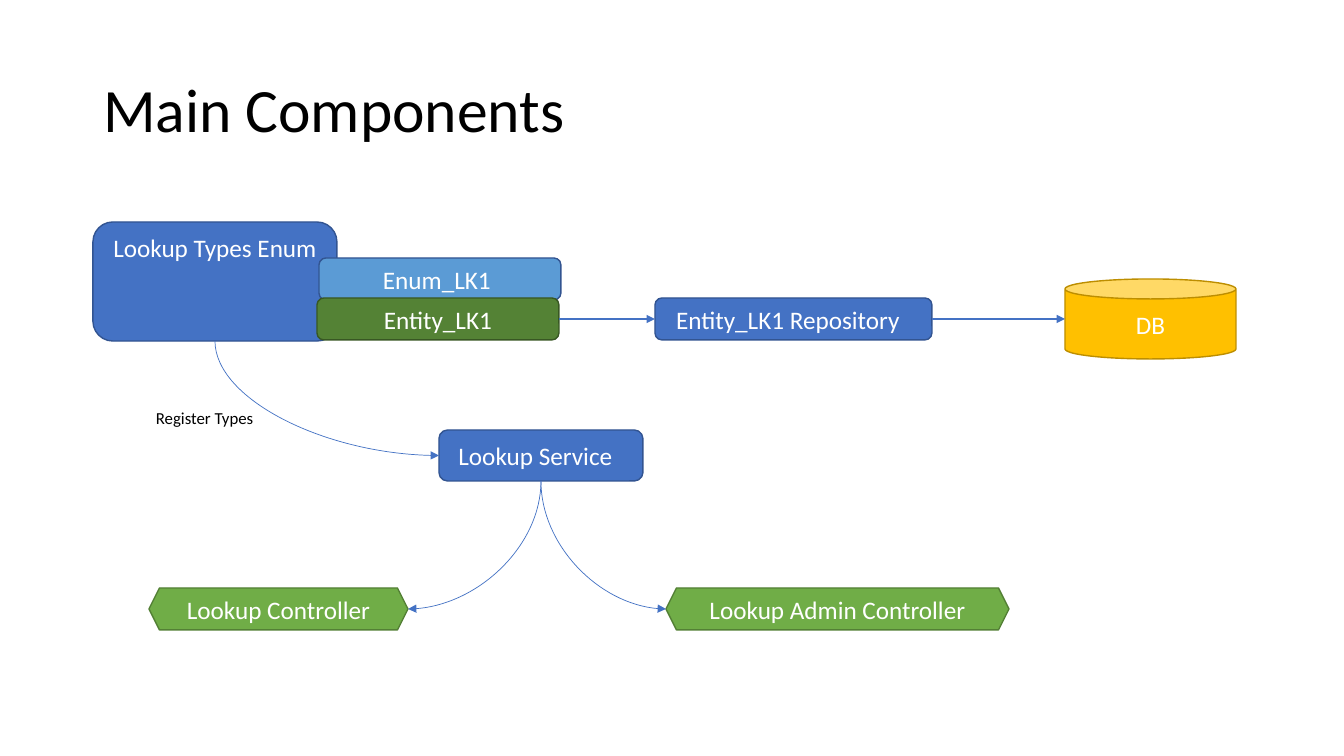
from typing import NamedTuple

import pptx
import pptx.dml.color
import pptx.enum.shapes
import pptx.enum.text
import pptx.oxml
import pptx.oxml.ns
import pptx.util

RGB = pptx.dml.color.RGBColor
SHAPE = pptx.enum.shapes.MSO_SHAPE
CONNECTOR = pptx.enum.shapes.MSO_CONNECTOR
ALIGN = pptx.enum.text.PP_ALIGN
ANCHOR = pptx.enum.text.MSO_ANCHOR
AUTO_SIZE = pptx.enum.text.MSO_AUTO_SIZE

BLACK = RGB(0x00, 0x00, 0x00)
WHITE = RGB(0xFF, 0xFF, 0xFF)
BLUE = RGB(0x44, 0x72, 0xC4)
BLUE_EDGE = RGB(0x32, 0x54, 0x91)
LIGHT_BLUE = RGB(0x5B, 0x9B, 0xD5)
DARK_GREEN = RGB(0x54, 0x82, 0x35)
DARK_GREEN_EDGE = RGB(0x38, 0x57, 0x23)
GREEN = RGB(0x70, 0xAD, 0x47)
GREEN_EDGE = RGB(0x53, 0x80, 0x35)
GOLD = RGB(0xFF, 0xC0, 0x00)
GOLD_EDGE = RGB(0xBD, 0x8E, 0x00)

FONT = "Calibri"
EMU_PER_PX = 914400 / 100.8
INSET = 10


class Box(NamedTuple):
    """A component; nudge widens the right inset, in pixels."""
    text: str
    left: int
    top: int
    width: int
    height: int
    fill: RGB
    edge: RGB
    kind: SHAPE = SHAPE.ROUNDED_RECTANGLE
    anchor: ANCHOR = ANCHOR.MIDDLE
    nudge: int = 0


class Link(NamedTuple):
    """An arrow between two components, with their connection sites."""
    start: str
    start_site: int
    end: str
    end_site: int


TOP, LEFT, BOTTOM, RIGHT = range(4)
CAN_LEFT, HEXAGON_RIGHT, HEXAGON_LEFT = 2, 0, 3

BOXES = {
    "types": Box("Lookup Types Enum", 93, 222, 244, 119, BLUE, BLUE_EDGE, anchor=ANCHOR.TOP),
    "enum": Box("Enum_LK1", 319, 258, 242, 42, LIGHT_BLUE, BLUE_EDGE, nudge=6),
    "entity": Box("Entity_LK1", 317, 298, 242, 42, DARK_GREEN, DARK_GREEN_EDGE),
    "repository": Box("Entity_LK1 Repository", 655, 298, 277, 42, BLUE, BLUE_EDGE, nudge=11),
    "db": Box("DB", 1065, 279, 171, 80, GOLD, GOLD_EDGE, SHAPE.CAN),
    "service": Box("Lookup Service", 439, 430, 204, 51, BLUE, BLUE_EDGE, nudge=11),
    "controller": Box("Lookup Controller", 149, 588, 259, 42, GREEN, GREEN_EDGE, SHAPE.HEXAGON),
    "admin": Box("Lookup Admin Controller", 666, 588, 343, 42, GREEN, GREEN_EDGE, SHAPE.HEXAGON),
}
STRAIGHT_LINKS = [
    Link("entity", RIGHT, "repository", LEFT),
    Link("repository", RIGHT, "db", CAN_LEFT),
]
CURVED_LINKS = [
    Link("types", BOTTOM, "service", LEFT),
    Link("service", BOTTOM, "controller", HEXAGON_RIGHT),
    Link("service", BOTTOM, "admin", HEXAGON_LEFT),
]


def px(n: float) -> pptx.util.Emu:
    """Turn pixels into EMU."""
    return pptx.util.Emu(round(n * EMU_PER_PX))


def place(sp, left: float, top: float, width: float, height: float) -> None:
    """Move and size a shape, in pixels."""
    sp.left, sp.top, sp.width, sp.height = px(left), px(top), px(width), px(height)


def add_text(tf, text: str, size: int, color: RGB, align: ALIGN):
    """Write one run into the first paragraph and return the paragraph."""
    p = tf.paragraphs[0]
    p.alignment = align
    r = p.add_run()
    r.text = text
    r.font.name, r.font.size = FONT, pptx.util.Pt(size)
    r.font.color.rgb = color
    return p


def add_box(slide, box: Box):
    """Draw a component with its label."""
    sp = slide.shapes.add_shape(box.kind, 0, 0, 0, 0)
    place(sp, box.left, box.top, box.width, box.height)
    sp.shadow.inherit = False
    sp.fill.solid()
    sp.fill.fore_color.rgb = box.fill
    sp.line.color.rgb = box.edge
    sp.line.width = pptx.util.Pt(1)
    tf = sp.text_frame
    tf.word_wrap = True
    tf.vertical_anchor = box.anchor
    tf.margin_right = px(INSET + box.nudge)
    add_text(tf, box.text, 18, WHITE, ALIGN.CENTER)
    return sp


def add_arrow(slide, shapes: dict, link: Link, kind: CONNECTOR, weight: float):
    """Add a connector with an arrowhead, attached at both ends."""
    c = slide.shapes.add_connector(kind, 0, 0, 0, 0)
    c.line.color.rgb = BLUE
    c.line.width = pptx.util.Pt(weight)
    ns = pptx.oxml.ns.nsdecls("a")
    c.line._get_or_add_ln().append(pptx.oxml.parse_xml(f'<a:tailEnd {ns} type="triangle"/>'))
    c._element.spPr.append(pptx.oxml.parse_xml(f"<a:effectLst {ns}/>"))
    for tag, name, site in (("stCxn", link.start, link.start_site),
                            ("endCxn", link.end, link.end_site)):
        xml = f'<a:{tag} {ns} id="{shapes[name].shape_id}" idx="{site}"/>'
        c._element.nvCxnSpPr.cNvCxnSpPr.append(pptx.oxml.parse_xml(xml))
    return c


def add_straight(slide, shapes: dict, link: Link) -> None:
    """Draw a level arrow from right edge to left edge."""
    a, b = BOXES[link.start], BOXES[link.end]
    c = add_arrow(slide, shapes, link, CONNECTOR.STRAIGHT, 1.5)
    right = a.left + a.width
    place(c, right, a.top + a.height / 2, b.left - right, 0)


def add_curve(slide, shapes: dict, link: Link) -> None:
    """Draw a quarter curve from a bottom edge down to a side."""
    a, b = BOXES[link.start], BOXES[link.end]
    x1, y1 = a.left + a.width / 2, a.top + a.height
    leftward = b.left < x1
    x2, y2 = b.left + (b.width if leftward else 0), b.top + b.height / 2
    c = add_arrow(slide, shapes, link, CONNECTOR.CURVE, 0.5)
    c._element.spPr.find(pptx.oxml.ns.qn("a:prstGeom")).set("prst", "curvedConnector2")
    # The frame is turned a quarter, so its sides swap about the centre.
    width, height = y2 - y1, abs(x2 - x1)
    place(c, (x1 + x2 - width) / 2, (y1 + y2 - height) / 2, width, height)
    xfrm = c._element.spPr.xfrm
    xfrm.set("rot", str((90 if leftward else 270) * 60000))
    xfrm.set("flipH", "0" if leftward else "1")


def add_title(slide, text: str) -> None:
    """Fill and format the title placeholder."""
    sp = slide.shapes.title
    place(sp, 93, 40, 1159, 146)
    tf = sp.text_frame
    tf.auto_size = AUTO_SIZE.NONE
    tf.vertical_anchor = ANCHOR.MIDDLE
    add_text(tf, text, 44, BLACK, ALIGN.LEFT).line_spacing = 0.9


def add_label(slide, text: str) -> None:
    """Add the caption of the registration arrow."""
    sp = slide.shapes.add_textbox(px(146), px(403), px(122), px(30))
    sp.text_frame.word_wrap = True
    sp.text_frame.auto_size = AUTO_SIZE.SHAPE_TO_FIT_TEXT
    add_text(sp.text_frame, text, 12, BLACK, ALIGN.LEFT)


def main() -> None:
    """Build the slide and save it."""
    prs = pptx.Presentation()
    prs.slide_width, prs.slide_height = px(1344), px(756)
    slide = prs.slides.add_slide(prs.slide_layouts[5])
    add_title(slide, "Main Components")
    shapes = {name: add_box(slide, box) for name, box in BOXES.items()}
    for link in STRAIGHT_LINKS:
        add_straight(slide, shapes, link)
    for link in CURVED_LINKS:
        add_curve(slide, shapes, link)
    add_label(slide, "Register Types")
    prs.save("out.pptx")


main()
